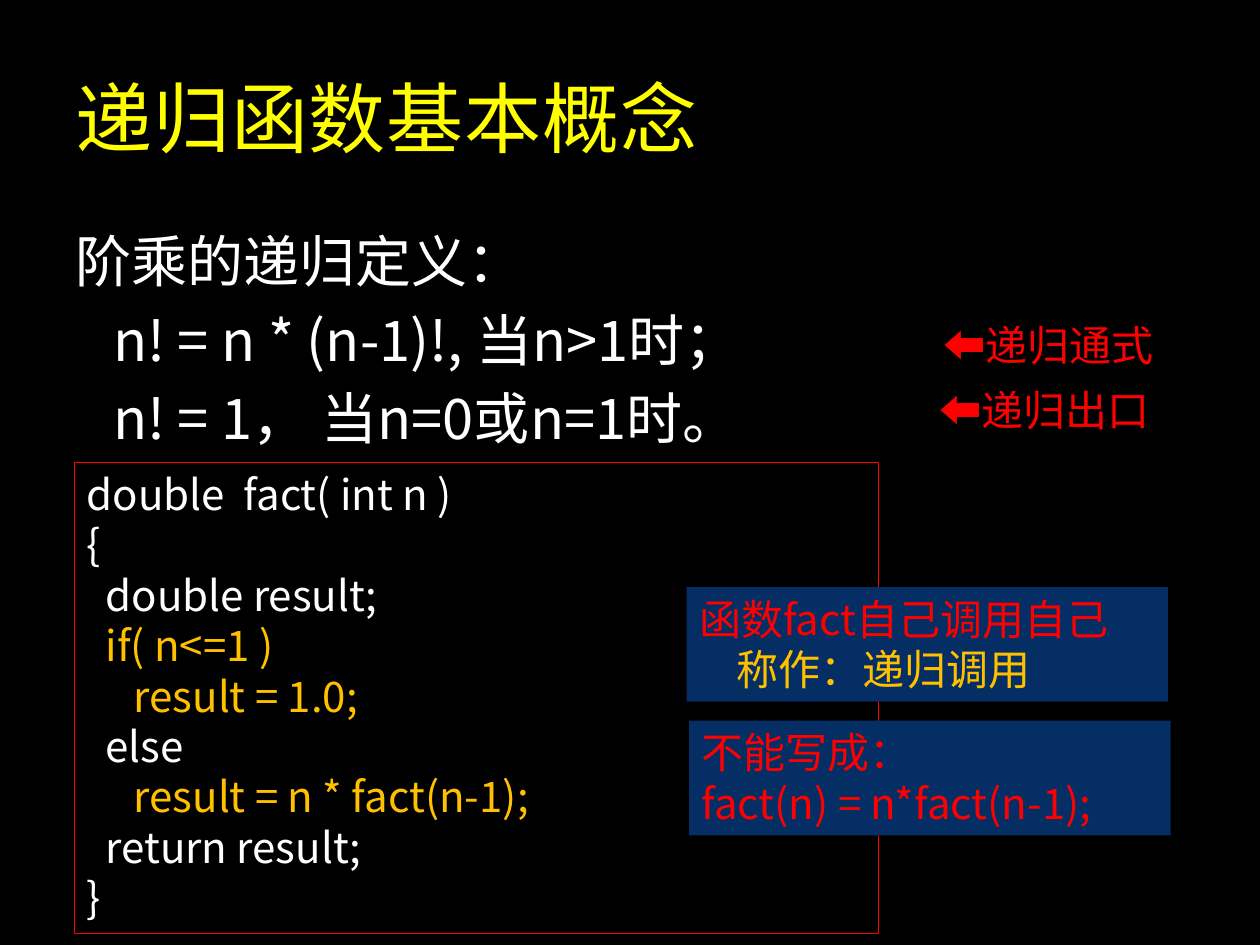
import pptx
import pptx.dml.color
import pptx.enum.shapes
import pptx.enum.text
import pptx.oxml.ns
import pptx.util
from lxml import etree
from pptx.util import Inches

RGBColor = pptx.dml.color.RGBColor
BLACK = RGBColor(0x00, 0x00, 0x00)
WHITE = RGBColor(0xFF, 0xFF, 0xFF)
YELLOW = RGBColor(0xFF, 0xFF, 0x00)
RED = RGBColor(0xFF, 0x00, 0x00)
AMBER = RGBColor(0xFF, 0xC0, 0x00)
NAVY = RGBColor(0x05, 0x2E, 0x65)

SANS = "Noto Sans CJK SC"
ARIAL = "Arial"
ANCHOR = pptx.enum.text.MSO_ANCHOR
AUTO_SIZE = pptx.enum.text.MSO_AUTO_SIZE

# Each line of code is a list of (text, colour) runs
CODE = [
    [("double  fact( int n )", WHITE)],
    [("{", WHITE)],
    [("  double result;", WHITE)],
    [("  ", WHITE), ("if( n<=1 )", AMBER)],
    [("     result = 1.0;", AMBER)],
    [("  else", WHITE)],
    [("     ", WHITE), ("result = n * fact(n-1);", AMBER)],
    [("  return result;", WHITE)],
    [("}", WHITE)],
]


def add_run(paragraph, text, size, color, font=SANS, spacing=0):
    run = paragraph.add_run()
    run.text = text
    run.font.size = pptx.util.Pt(size)
    run.font.color.rgb = color
    run.font.name = font
    properties = run.font._element
    east_asian = etree.SubElement(properties, pptx.oxml.ns.qn("a:ea"))
    east_asian.set("typeface", SANS)
    if spacing:
        properties.set("spc", str(round(spacing * 100)))


def write_lines(frame, lines, size, font=SANS, spacing=0, gap=0, indents=()):
    """Write one paragraph for each list of (text, colour) runs."""
    for index, runs in enumerate(lines):
        paragraph = frame.paragraphs[0] if index == 0 else frame.add_paragraph()
        paragraph.alignment = pptx.enum.text.PP_ALIGN.LEFT
        if index and gap:
            paragraph.space_before = pptx.util.Pt(gap)
        if index < len(indents) and indents[index]:
            paragraph._p.get_or_add_pPr().set("marL", str(Inches(indents[index])))
        for text, color in runs:
            add_run(paragraph, text, size, color, font, spacing)


def add_text(slide, left, top, width, height, lines, size, wrap=True,
             anchor=ANCHOR.TOP, **style):
    box = slide.shapes.add_textbox(Inches(left), Inches(top),
                                   Inches(width), Inches(height))
    box.text_frame.word_wrap = wrap
    box.text_frame.vertical_anchor = anchor
    write_lines(box.text_frame, lines, size, **style)


def add_panel(slide, left, top, width, height, lines, fill=None, line=None,
              **style):
    panel = slide.shapes.add_shape(
        pptx.enum.shapes.MSO_SHAPE.RECTANGLE,
        Inches(left), Inches(top), Inches(width), Inches(height))
    panel.shadow.inherit = False
    if fill is None:
        panel.fill.background()
    else:
        panel.fill.solid()
        panel.fill.fore_color.rgb = fill
    if line is None:
        panel.line.fill.background()
    else:
        panel.line.color.rgb = line
        panel.line.width = pptx.util.Pt(0.75)
    frame = panel.text_frame
    frame.word_wrap = True
    frame.auto_size = AUTO_SIZE.SHAPE_TO_FIT_TEXT
    frame.vertical_anchor = ANCHOR.TOP
    write_lines(frame, lines, 24, **style)


def main():
    deck = pptx.Presentation()
    deck.slide_width, deck.slide_height = Inches(10), Inches(7.5)
    slide = deck.slides.add_slide(deck.slide_layouts[6])
    slide.background.fill.solid()
    slide.background.fill.fore_color.rgb = BLACK

    # Title
    add_text(slide, 0.5, 0.3, 8.5, 1.25, [[("递归函数基本概念", YELLOW)]], 44,
             anchor=ANCHOR.MIDDLE, font=ARIAL, spacing=0.5)

    # Definition of the factorial
    definition = ["阶乘的递归定义：", "n! = n * (n-1)!, 当n>1时；",
                  "n! = 1， 当n=0或n=1时。"]
    add_text(slide, 0.5, 1.75, 9, 4.95, [[(text, WHITE)] for text in definition],
             32, gap=6.4, indents=(0, 0.3, 0.3))

    # Labels of the two cases
    for left, top, label in [(7.39, 2.49, "⬅递归通式"), (7.36, 3, "⬅递归出口")]:
        add_text(slide, left, top, 1.91, 0.5, [[(label, RED)]], 24,
                 wrap=False, font=ARIAL)

    # Code listing
    add_panel(slide, 0.59, 3.67, 6.38, 3.74, CODE, line=RED)

    # Remarks over the code
    add_panel(slide, 5.47, 5.72, 3.82, 0.91,
              [[("不能写成：", RED)], [("fact(n) = n*fact(n-1);", RED)]],
              fill=NAVY)
    add_panel(slide, 5.45, 4.66, 3.82, 0.91,
              [[("函数fact自己调用自己", RED)], [("称作：递归调用", AMBER)]],
              fill=NAVY, indents=(0, 0.3))

    deck.save("out.pptx")


if __name__ == "__main__":
    main()
